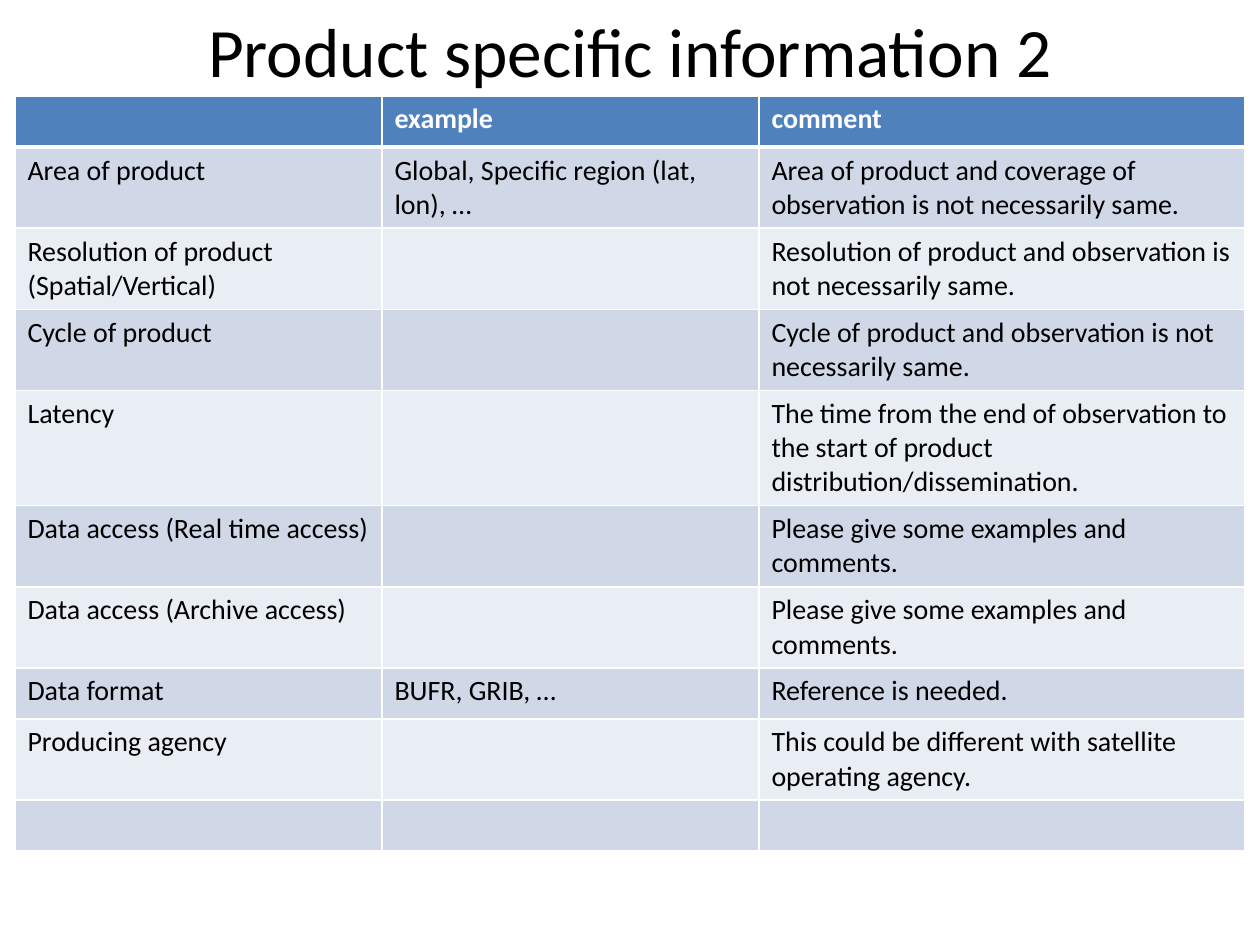
from lxml.etree import SubElement
from pptx import Presentation
from pptx.dml.color import RGBColor
from pptx.enum.text import MSO_ANCHOR, PP_ALIGN
from pptx.oxml.ns import qn
from pptx.util import Pt

SCALE = 914400 // 126
FONT = "Calibri"
COLORS = {"header": "4F81BD", "odd": "D0D8E8", "even": "E9EDF4", "white": "FFFFFF", "black": "000000"}
TITLE = "Product specific information 2"
TITLE_BOX = (63, 6, 1134, 87)
TABLE_BOX = (15, 96, 1230, 746)
COLUMNS = (367, 377, 486)
ROW_HEIGHT = 51
ROWS = [
    ("", "example", "comment"),
    ("Area of product", "Global, Specific region (lat, lon), …",
     "Area of product and coverage of observation is not necessarily same."),
    ("Resolution of product\n(Spatial/Vertical)", "",
     "Resolution of product and observation is not necessarily same."),
    ("Cycle of product", "", "Cycle of product and observation is not necessarily same."),
    ("Latency", "",
     "The time from the end of observation to the start of product distribution/dissemination."),
    ("Data access (Real time access)", "", "Please give some examples and comments."),
    ("Data access (Archive access)", "", "Please give some examples and comments."),
    ("Data format", "BUFR, GRIB, …", "Reference is needed."),
    ("Producing agency", "", "This could be different with satellite operating agency."),
    ("", "", ""),
]


def px(value):
    return value * SCALE


def add_span(para, text, size, color, bold=False):
    span = para.add_run()
    span.text = text
    span.font.name = FONT
    span.font.size = Pt(size)
    span.font.bold = bold
    span.font.color.rgb = RGBColor.from_string(COLORS[color])


def set_borders(cell, top, bottom):
    properties = cell._tc.get_or_add_tcPr()
    for side, width in (("L", 1), ("R", 1), ("T", top), ("B", bottom)):
        line = SubElement(properties, qn(f"a:ln{side}"), w=str(Pt(width)))
        fill = SubElement(line, qn("a:solidFill"))
        SubElement(fill, qn("a:srgbClr"), val=COLORS["white"])


def fill_cell(cell, text, row_index):
    header = row_index == 0
    set_borders(cell, 3 if row_index == 1 else 1, 3 if header else 1)
    shade = "header" if header else ("even", "odd")[row_index % 2]
    cell.fill.solid()
    cell.fill.fore_color.rgb = RGBColor.from_string(COLORS[shade])
    if not text:
        return
    frame = cell.text_frame
    for index, line in enumerate(text.split("\n")):
        para = frame.add_paragraph() if index else frame.paragraphs[0]
        add_span(para, line, 16, "white" if header else "black", header)


def add_title(page):
    title = page.shapes.title
    title.left, title.top, title.width, title.height = map(px, TITLE_BOX)
    frame = title.text_frame
    frame.vertical_anchor = MSO_ANCHOR.MIDDLE
    para = frame.paragraphs[0]
    para.alignment = PP_ALIGN.CENTER
    add_span(para, TITLE, 39.6, "black")


def add_product_table(page):
    holder = page.shapes.add_table(len(ROWS), len(COLUMNS), *map(px, TABLE_BOX))
    table = holder.table
    for column, width in zip(table.columns, COLUMNS):
        column.width = px(width)
    for row_index, (row, texts) in enumerate(zip(table.rows, ROWS)):
        row.height = px(ROW_HEIGHT)
        for cell, text in zip(row.cells, texts):
            fill_cell(cell, text, row_index)
    holder.height = px(TABLE_BOX[3])


def main():
    """Build the product information slide."""
    deck = Presentation()
    deck.slide_width, deck.slide_height = px(1260), px(945)
    page = deck.slides.add_slide(deck.slide_layouts[5])
    add_title(page)
    add_product_table(page)
    deck.save("out.pptx")


main()
